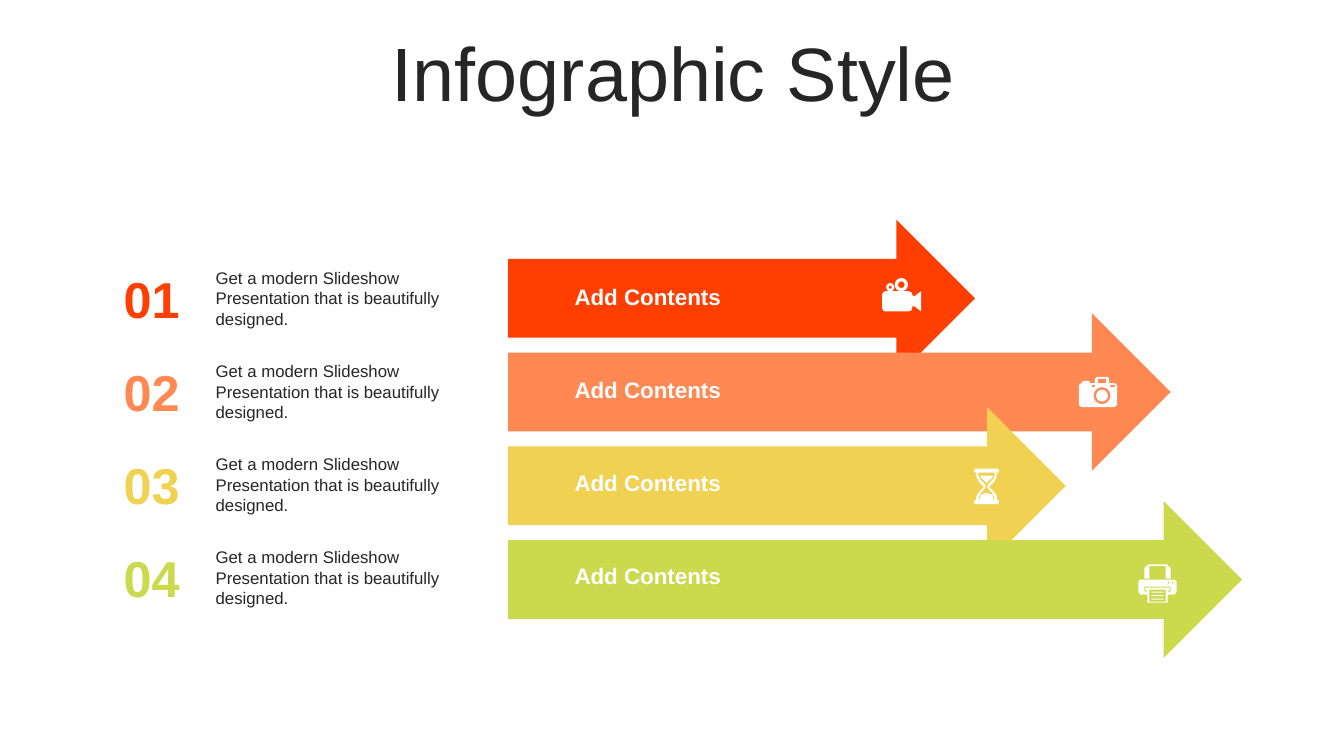
from math import cos, pi, sin

from pptx import Presentation
from pptx.dml.color import RGBColor
from pptx.enum.shapes import MSO_SHAPE
from pptx.enum.text import MSO_ANCHOR, PP_ALIGN
from pptx.util import Inches, Pt

RIGHT_ARROW = MSO_SHAPE.RIGHT_ARROW
LEFT, CENTER = PP_ALIGN.LEFT, PP_ALIGN.CENTER
TOP, MIDDLE = MSO_ANCHOR.TOP, MSO_ANCHOR.MIDDLE

SLIDE_W, SLIDE_H = 13.33, 7.5
FONT = "Arial"
COLORS = {
    "ink": "262626", "white": "FFFFFF", "red": "FF3F02",
    "orange": "FF8853", "yellow": "F0D152", "green": "CADA4C",
}
DESCRIPTION = "Get a modern Slideshow Presentation that is beautifully designed."

# Columns and row rhythm, in inches
NUMBER_X, DESCRIPTION_X, ARROW_X, LABEL_X = 1.03, 2.04, 5.04, 5.6
NUMBER_W, DESCRIPTION_W, LABEL_W = 0.95, 2.55, 2.47
ARROW_TOP, ARROW_H, ARROW_PITCH = 2.18, 1.56, 0.93
TEXT_TOP, TEXT_H, TEXT_PITCH = 2.61, 0.71, 0.923
LABEL_DROP, LABEL_H = 0.15, 0.37


def bar(x, y, w, h):
    return [(x, y), (x + w, y), (x + w, y + h), (x, y + h)]


def disc(x, y, radius, steps=32):
    angles = [2 * pi * step / steps for step in range(steps)]
    return [(x + radius * cos(a), y + radius * sin(a)) for a in angles]


# Icon outlines in hundredths of an inch; nested outlines cut holes
FILM_CAMERA = [
    [(3, 13), (26, 13), (29, 14), (30, 17), (32, 18), (38.5, 13), (38.5, 33),
     (32, 28), (30, 28), (29, 32), (26, 33), (3, 33), (1, 32), (0, 30),
     (0, 16), (1, 14)],
    disc(8, 9, 4), disc(8, 9, 1.5), disc(19, 6.5, 6.5), disc(19, 6.5, 3.3),
]
PHOTO_CAMERA = [
    [(18, 0), (29, 0), (30, 2), (30, 6), (35, 6), (37, 7), (38, 9), (38, 27),
     (37, 29), (35, 30), (3, 30), (1, 29), (0, 27), (0, 9), (1, 7), (3, 6),
     (4, 4), (10, 4), (11, 6), (16, 6), (16, 2)],
    bar(19, 2, 8, 4), disc(23, 18.5, 8.3), disc(23, 18.5, 5.8),
    bar(13, 8, 3, 2), bar(31, 8, 5, 2),
]
HOURGLASS = [
    [(1, 0), (24, 0), (25, 2), (24, 4), (22.5, 4), (22.5, 8), (20, 13),
     (15, 18), (20, 23), (22.5, 27), (23, 31), (24, 31), (25, 33), (24, 35),
     (1, 35), (0, 33), (1, 31), (2, 31), (2.5, 27), (5, 23), (10, 18),
     (5, 13), (2.5, 8), (2.5, 4), (1, 4), (0, 2)],
    [(4.5, 4), (4.5, 7.5), (6.5, 11), (11.5, 16), (11.5, 19), (7, 24),
     (5, 28), (5, 31), (20, 31), (20, 28), (18, 24), (13.5, 19), (13.5, 16),
     (18.5, 11), (20.5, 7.5), (20.5, 4)],
    [(6, 7), (19, 7), (17.5, 9.5), (12.5, 14), (7.5, 9.5)],
    [(6, 31), (6.5, 26), (12.5, 24), (18.5, 26), (19, 31)],
]
PRINTER = [
    [(2, 15), (36, 15), (38, 17), (38, 27), (36, 30), (29, 30), (29, 38),
     (9, 38), (9, 30), (2, 30), (0, 27), (0, 17)],
    [(6, 22), (32, 22), (32, 27), (29, 27), (29, 26), (31, 26), (31, 23),
     (7, 23), (7, 26), (9, 26), (9, 27), (6, 27)],
    bar(11, 25, 16, 12),
    *[bar(13, y, 12, 1) for y in (27, 30.5, 34)],
    disc(30, 18, 1), disc(34, 18, 1),
    [(9, 0), (29, 0), (29, 2), (31, 2), (32, 4), (32, 14), (27, 14), (27, 1.5),
     (11, 1.5), (11, 14), (6, 14), (6, 4), (7, 2), (9, 2)],
]

# Color, arrow length, icon outlines, icon corner
STEPS = [
    ("red", 4.63, FILM_CAMERA, (8.75, 2.76)),
    ("orange", 6.57, PHOTO_CAMERA, (10.7, 3.74)),
    ("yellow", 5.53, HOURGLASS, (9.66, 4.65)),
    ("green", 7.28, PRINTER, (11.29, 5.6)),
]


def paint(shape, color):
    shape.fill.solid()
    shape.fill.fore_color.rgb = RGBColor.from_string(COLORS[color])
    shape.line.fill.background()
    shape.shadow.inherit = False


def add_text(slide, text, box, size, color="ink", bold=False, align=LEFT,
             anchor=TOP, line_spacing=1.0):
    frame = slide.shapes.add_textbox(*map(Inches, box)).text_frame
    frame.word_wrap = True
    frame.vertical_anchor = anchor
    paragraph = frame.paragraphs[0]
    paragraph.text = text
    paragraph.alignment = align
    paragraph.line_spacing = line_spacing
    font = paragraph.font
    font.name, font.size, font.bold = FONT, Pt(size), bold
    font.color.rgb = RGBColor.from_string(COLORS[color])


def add_icon(slide, outlines, corner):
    # Ten drawing units per hundredth of an inch keep the curves smooth
    scaled = [[(x * 10, y * 10) for x, y in outline] for outline in outlines]
    builder = slide.shapes.build_freeform(*scaled[0][0], scale=Inches(1) / 1000)
    for index, outline in enumerate(scaled):
        if index:
            builder.move_to(*outline[0])
        builder.add_line_segments(outline[1:], close=True)
    paint(builder.convert_to_shape(*map(Inches, corner)), "white")


def add_title(slide, box):
    add_text(slide, "Infographic Style", box, 54, align=CENTER, anchor=MIDDLE,
             line_spacing=0.9)


def add_step(slide, number, arrow_box, text_top, color, icon, icon_corner):
    # Arrow
    arrow = slide.shapes.add_shape(RIGHT_ARROW, *map(Inches, arrow_box))
    paint(arrow, color)
    # Number and description to the left
    add_text(slide, f"{number:02d}", (NUMBER_X, text_top, NUMBER_W, TEXT_H), 36,
             color=color, bold=True, align=CENTER)
    add_text(slide, DESCRIPTION,
             (DESCRIPTION_X, text_top, DESCRIPTION_W, TEXT_H), 12)
    # Label and icon on the arrow
    add_text(slide, "Add Contents",
             (LABEL_X, text_top + LABEL_DROP, LABEL_W, LABEL_H), 16,
             color="white", bold=True)
    add_icon(slide, icon, icon_corner)


def main():
    deck = Presentation()
    deck.slide_width, deck.slide_height = Inches(SLIDE_W), Inches(SLIDE_H)
    slide = deck.slides.add_slide(deck.slide_layouts[6])
    add_title(slide, (0.35, 0.37, 12.66, 0.79))
    for index, (color, length, icon, icon_corner) in enumerate(STEPS):
        arrow_box = (ARROW_X, ARROW_TOP + index * ARROW_PITCH, length, ARROW_H)
        add_step(slide, index + 1, arrow_box, TEXT_TOP + index * TEXT_PITCH,
                 color, icon, icon_corner)
    deck.save("out.pptx")


if __name__ == "__main__":
    main()
